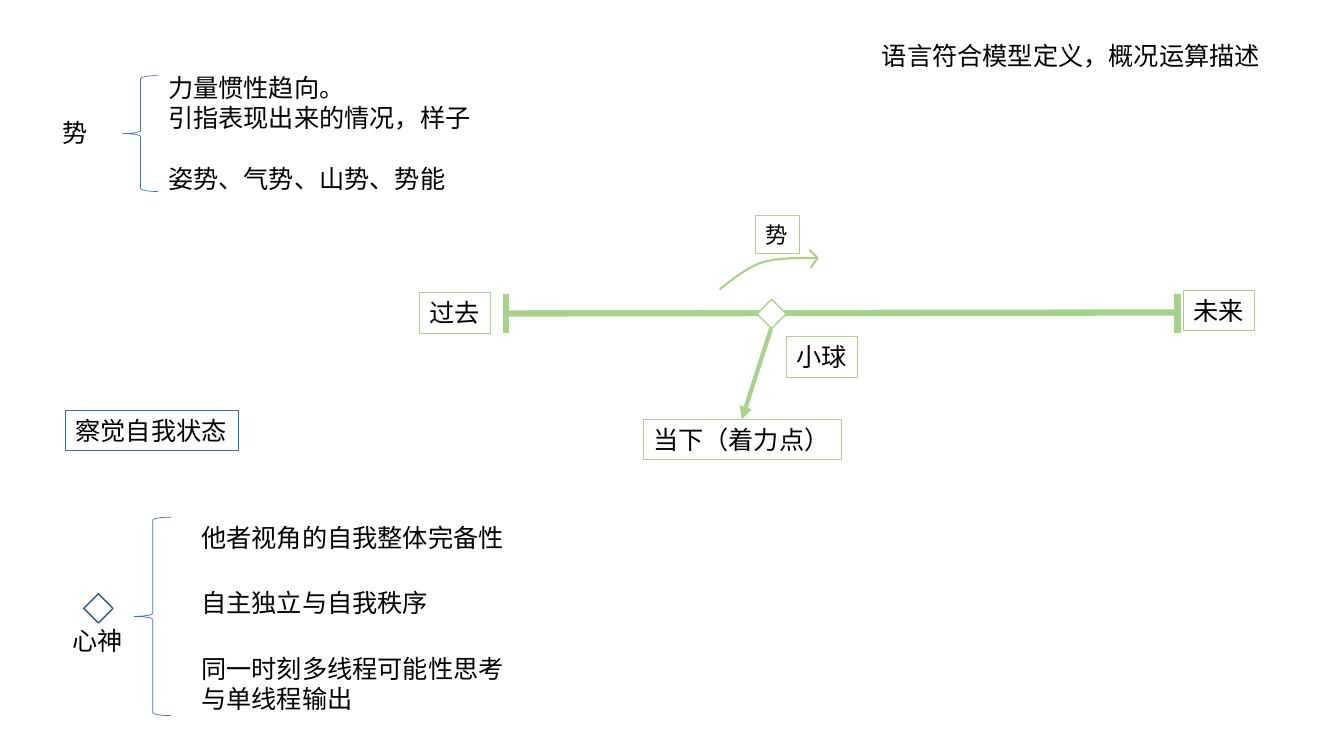
from lxml import etree
from pptx import Presentation
from pptx.dml.color import RGBColor
from pptx.enum import shapes, text
from pptx.oxml.ns import qn
from pptx.util import Pt

FONT = "Noto Sans CJK SC"
BLACK = RGBColor(0, 0, 0)
WHITE = RGBColor(255, 255, 255)
GREEN = RGBColor(0xA9, 0xD1, 0x8E)
BLUE = RGBColor(0x44, 0x72, 0xC4)
NAVY = RGBColor(0x32, 0x54, 0x91)
STEEL = RGBColor(0x2E, 0x75, 0xB6)

LINE_HEIGHT = 1.2  # of the font size
GAP = 21.6
LABEL_HEIGHT = 29

# paragraphs as (text, space before); left, top, width; font size; border
LABELS = [
    ([("过去", 0)], 299.5, 209, 51, 18, GREEN),
    ([("未来", 0)], 845.3, 207.4, 51, 18, GREEN),
    ([("当下（着力点）", 0)], 459.4, 299.5, 141.8, 18, GREEN),
    ([("小球", 0)], 561.6, 240.5, 51, 18, GREEN),
    ([("势", 0)], 540, 154.3, 31, 16, GREEN),
    ([("察觉自我状态", 0)], 46.8, 293, 123.8, 18, STEEL),
    ([("他者视角的自我整体完备性", 0)], 136.8, 369.4, 232.6, 18, None),
    ([("自主独立与自我秩序", 0)], 136.8, 416.2, 177.8, 18, None),
    ([("同一时刻多线程可能性思考", 0), ("与单线程输出", 0)], 136.8, 463, 232.6, 18, None),
    ([("心神", 0)], 44.6, 442.8, 51, 18, None),
    ([("势", 0)], 37.4, 80.6, 32.4, 18, None),
    ([("力量惯性趋向。", 0), ("引指表现出来的情况，样子", 0), ("姿势、气势、山势、势能", GAP)],
     113, 48.2, 232.6, 18, None),
    ([("语言符合模型定义，概况运算描述", 0)], 622.8, 25.2, 287.3, 18, None),
]

# start, end, weight, arrowhead at end
TIMELINE = [
    ((362.2, 223.9), (839.5, 223.2), 4.5, False),
    ((361.4, 210.2), (361.4, 237.6), 4.5, False),
    ((841, 210.2), (841, 237.6), 4.5, False),
    ((550.8, 234.7), (529.9, 299.5), 3, True),
]
TREND_TIP = (584, 184.3)
TREND_BARBS = [(578.2, 178.6), (578.9, 191.5)]
TREND_CURVES = [
    ((514.1, 206.6), (524.2, 198.7), (534.2, 190.8), (545, 187.2)),
    ((545, 187.2), (556.6, 183.6), (581, 184.3), TREND_TIP),
]

SHAPE = shapes.MSO_SHAPE
# preset, left, top, width, height, fill, line colour, weight
MARKS = [
    (SHAPE.DIAMOND, 540.7, 213.8, 20.9, 20.9, WHITE, GREEN, 1),
    (SHAPE.DIAMOND, 59.8, 424.1, 20.9, 20.9, WHITE, NAVY, 1),
    (SHAPE.LEFT_BRACE, 95.8, 369.4, 26.6, 141.8, None, BLUE, 0.5),
    (SHAPE.LEFT_BRACE, 87.8, 54, 25.2, 82.8, None, BLUE, 0.5),
]


def set_line(line, color, weight):
    line.color.rgb = color
    line.width = Pt(weight)


def add_line(start, end, weight, arrow=False):
    connector = slide.shapes.add_connector(
        shapes.MSO_CONNECTOR.STRAIGHT, *map(Pt, start + end))
    set_line(connector.line, GREEN, weight)
    properties = connector._element.spPr
    if arrow:
        etree.SubElement(properties.find(qn("a:ln")), qn("a:tailEnd"), type="triangle")
    etree.SubElement(properties, qn("a:effectLst"))


def add_mark(preset, left, top, width, height, fill, color, weight):
    mark = slide.shapes.add_shape(preset, *map(Pt, (left, top, width, height)))
    mark.shadow.inherit = False
    if fill is None:
        mark.fill.background()
    else:
        mark.fill.solid()
        mark.fill.fore_color.rgb = fill
    set_line(mark.line, color, weight)


def add_label(paragraphs, left, top, width, size, border):
    pitch = size * LINE_HEIGHT
    height = LABEL_HEIGHT - 18 * LINE_HEIGHT + sum(pitch + gap for _, gap in paragraphs)
    label = slide.shapes.add_textbox(*map(Pt, (left, top, width, height)))
    if border is not None:
        set_line(label.line, border, 0.75)
    frame = label.text_frame
    frame.word_wrap = False
    frame.vertical_anchor = text.MSO_ANCHOR.TOP
    for index, (words, gap) in enumerate(paragraphs):
        paragraph = frame.add_paragraph() if index else frame.paragraphs[0]
        spacing = {"line_spacing": Pt(pitch), "space_before": Pt(gap)}
        for name, value in spacing.items():
            setattr(paragraph, name, value)
        run = paragraph.add_run()
        run.text = words
        for name, value in {"name": FONT, "size": Pt(size)}.items():
            setattr(run.font, name, value)
        run.font.color.rgb = BLACK
        etree.SubElement(run._r.get_or_add_rPr(), qn("a:ea"), typeface=FONT)


def bezier(curve, t):
    """Point at t on a cubic curve given by its four control points."""
    weights = ((1 - t) ** 3, 3 * t * (1 - t) ** 2, 3 * t ** 2 * (1 - t), t ** 3)
    return tuple(sum(w * p[axis] for w, p in zip(weights, curve)) for axis in (0, 1))


def add_trend(steps=12):
    points = [bezier(curve, step / steps)
              for curve in TREND_CURVES for step in range(1, steps + 1)]
    builder = slide.shapes.build_freeform(*map(Pt, TREND_CURVES[0][0]))
    builder.add_line_segments([(Pt(x), Pt(y)) for x, y in points], close=False)
    trend = builder.convert_to_shape()
    trend.shadow.inherit = False
    trend.fill.background()
    set_line(trend.line, GREEN, 1.5)
    for barb in TREND_BARBS:
        add_line(barb, TREND_TIP, 1.5)


deck = Presentation()
deck.slide_width, deck.slide_height = Pt(960), Pt(540)
slide = deck.slides.add_slide(deck.slide_layouts.get_by_name("Blank"))

for segment in TIMELINE:
    add_line(*segment)
for mark_values in MARKS:
    add_mark(*mark_values)
add_trend()
for label_values in LABELS:
    add_label(*label_values)

deck.save("out.pptx")
